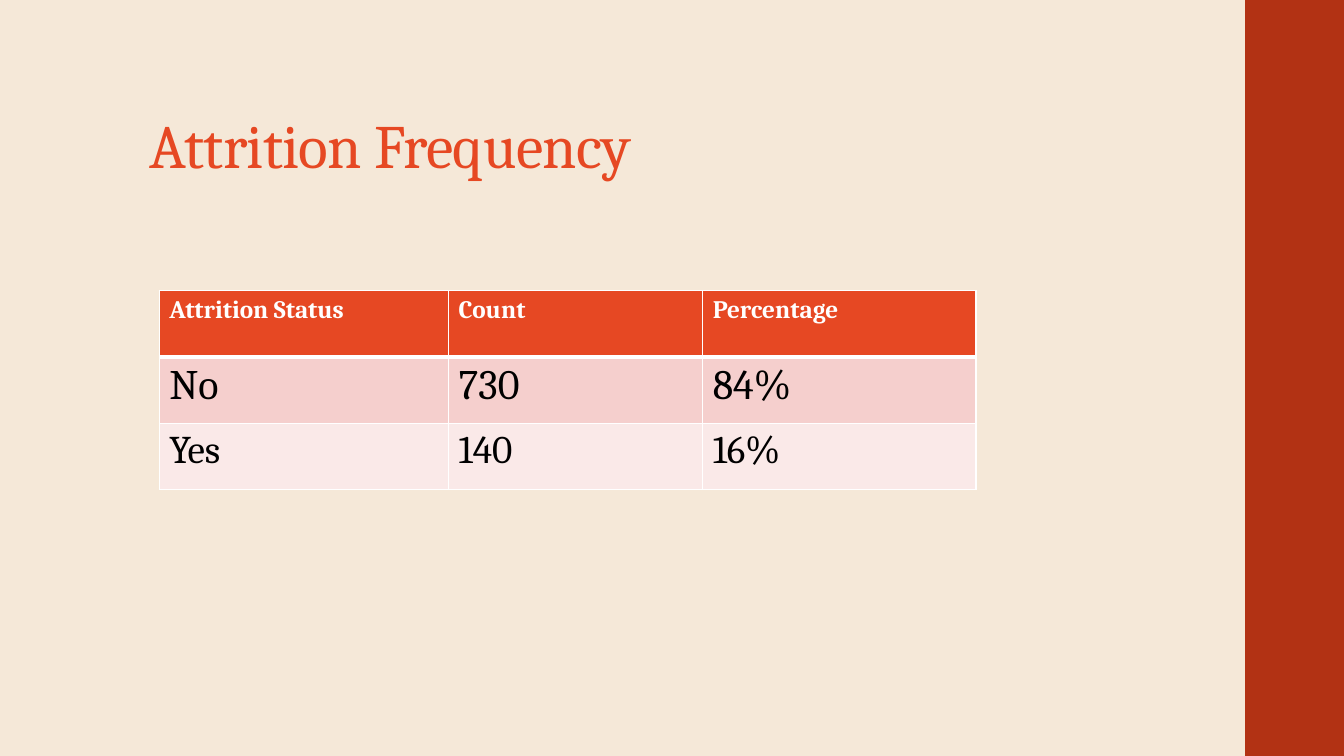
from lxml.etree import SubElement
from pptx import Presentation
from pptx.dml.color import RGBColor
from pptx.enum.shapes import MSO_SHAPE
from pptx.enum.text import MSO_ANCHOR
from pptx.oxml.ns import qn
from pptx.util import Inches, Pt

COLORS = {
    "background": "F5E8D8",
    "band": "B23214",
    "accent": "E64823",
    "odd_row": "F5CFCD",
    "even_row": "FAE9E8",
    "white": "FFFFFF",
    "black": "000000",
}


def color(name):
    return RGBColor.from_string(COLORS[name])


def write_text(frame, text, size=28, ink="black", bold=False, line_spacing=None, tracking=None):
    para = frame.paragraphs[0]
    para.line_spacing = line_spacing
    span = para.add_run()
    span.text = text
    span.font.name = "Cambria"
    span.font.size = Pt(size)
    span.font.bold = bold
    span.font.color.rgb = color(ink)
    if tracking is not None:
        span.font._element.set("spc", str(round(tracking * 100)))


class SlideBuilder:
    """Hold the slide style and draw each kind of element on the current page."""

    def __init__(self, deck):
        self.page = deck.slides.add_slide(deck.slide_layouts[6])
        self.page.background.fill.solid()
        self.page.background.fill.fore_color.rgb = color("background")

    def band(self, left, top, width, height):
        box = self.page.shapes.add_shape(
            MSO_SHAPE.RECTANGLE, Inches(left), Inches(top), Inches(width), Inches(height)
        )
        box.shadow.inherit = False
        box.fill.solid()
        box.fill.fore_color.rgb = color("band")
        box.line.fill.background()

    def title(self, text, left, top, width, height):
        box = self.page.shapes.add_textbox(
            Inches(left), Inches(top), Inches(width), Inches(height)
        )
        frame = box.text_frame
        frame.word_wrap = True
        frame.vertical_anchor = MSO_ANCHOR.BOTTOM
        write_text(frame, text, size=44, ink="accent", line_spacing=0.9, tracking=-0.5)

    def borders(self, cell, **widths):
        properties = cell._tc.get_or_add_tcPr()
        for side in "LRTB":
            line = SubElement(properties, qn(f"a:ln{side}"), w=str(Pt(widths.get(side, 1))))
            fill = SubElement(line, qn("a:solidFill"))
            SubElement(fill, qn("a:srgbClr"), val=COLORS["white"])

    def table(self, rows, row_styles, left, top, column_widths, row_height):
        table = self.page.shapes.add_table(
            len(rows), len(column_widths), Inches(left), Inches(top),
            Inches(sum(column_widths)), Inches(row_height * len(rows)),
        ).table
        for column, width in zip(table.columns, column_widths):
            column.width = Inches(width)
        edges = [{"B": 3}, {"T": 3}]
        for index, (values, (fill, text_style)) in enumerate(zip(rows, row_styles)):
            table.rows[index].height = Inches(row_height)
            for cell, value in zip(table.rows[index].cells, values):
                self.borders(cell, **(edges[index] if index < len(edges) else {}))
                cell.fill.solid()
                cell.fill.fore_color.rgb = color(fill)
                write_text(cell.text_frame, value, **text_style)


def main():
    deck = Presentation()
    deck.slide_width = Inches(13.33)
    deck.slide_height = Inches(7.5)
    slide = SlideBuilder(deck)
    slide.band(12.35, 0, 0.98, 7.5)
    slide.title("Attrition Frequency", 1.38, 0.4, 10.6, 1.45)
    slide.table(
        rows=[
            ["Attrition Status", "Count", "Percentage"],
            ["No", "730", "84%"],
            ["Yes", "140", "16%"],
        ],
        row_styles=[
            ("accent", {"size": 18, "ink": "white", "bold": True}),
            ("odd_row", {"size": 30}),
            ("even_row", {"size": 28}),
        ],
        left=1.58,
        top=2.88,
        column_widths=[2.87, 2.52, 2.71],
        row_height=0.66,
    )
    deck.save("out.pptx")


if __name__ == "__main__":
    main()
